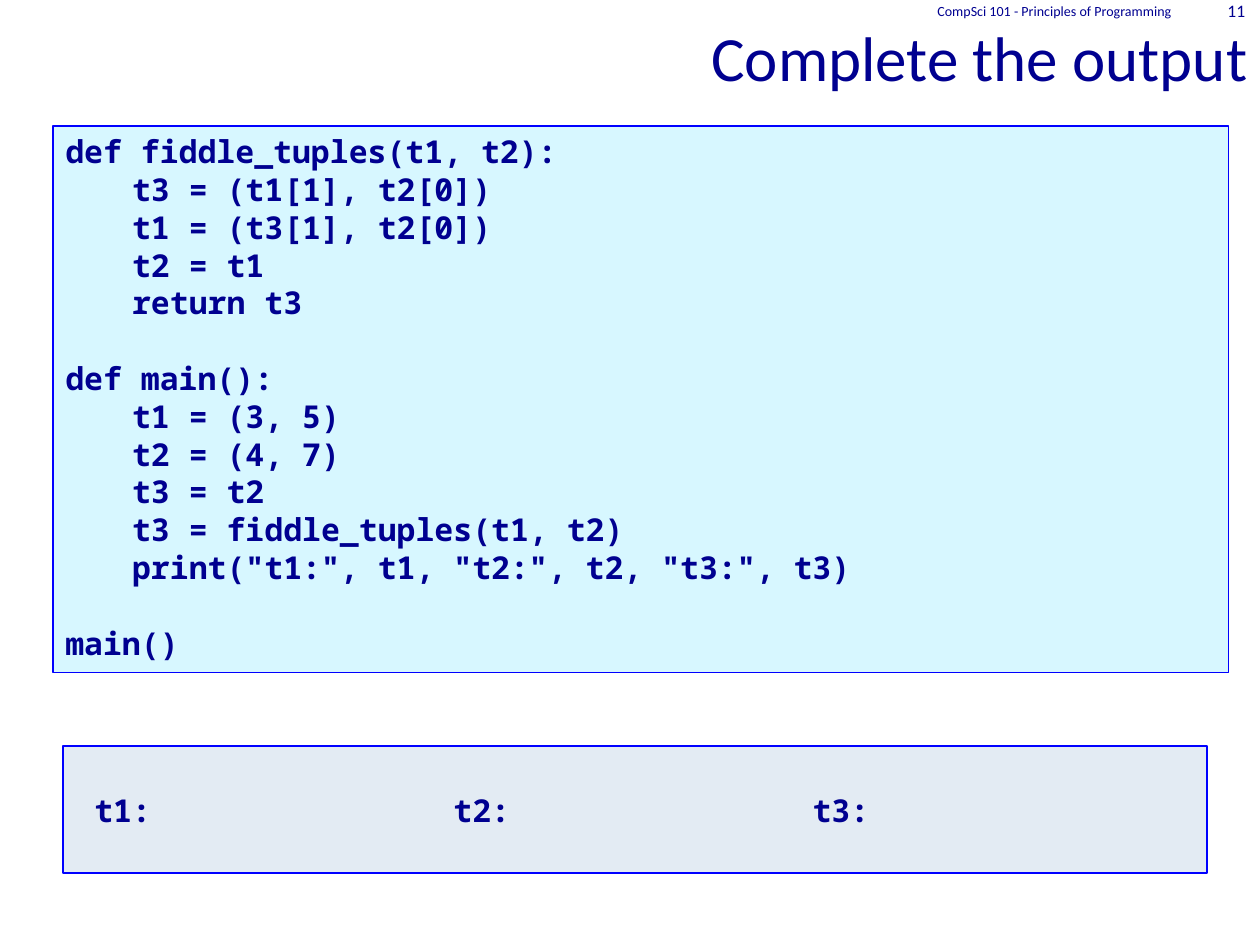
from lxml.etree import SubElement
from pptx import Presentation
from pptx.dml.color import RGBColor
from pptx.enum.shapes import MSO_SHAPE
from pptx.enum.text import MSO_ANCHOR as Anchor, PP_ALIGN as Align
from pptx.oxml.ns import qn
from pptx.util import Inches, Pt

COLORS = {"ink": "000090", "border": "0000FF", "code": "D7F7FF", "output": "E3EBF3"}
WIDTH, HEIGHT = 10, 7.5
CODE_LINE = 21.6

CODE_BLOCKS = [
    """def fiddle_tuples(t1, t2):
\tt3 = (t1[1], t2[0])
\tt1 = (t3[1], t2[0])
\tt2 = t1
\treturn t3""",
    """def main():
\tt1 = (3, 5)
\tt2 = (4, 7)
\tt3 = t2
\tt3 = fiddle_tuples(t1, t2)
\tprint("t1:", t1, "t2:", t2, "t3:", t3)""",
    "main()",
]


class SlideBuilder:
    """Places elements by (left, top, width, height) as shares of the slide."""

    text_font, code_font, code_size = "Calibri", "Noto Sans Mono", 18

    def __init__(self, presentation):
        self.presentation = presentation
        self.slide = presentation.slides.add_slide(presentation.slide_layouts[6])

    def place(self, box):
        sides = (self.presentation.slide_width, self.presentation.slide_height) * 2
        return [round(share * side) for share, side in zip(box, sides)]

    def format_runs(self, paragraph, font, size, bold=False):
        for run in paragraph.runs:
            run.font.name, run.font.size, run.font.bold = font, Pt(size), bold
            run.font.color.rgb = RGBColor.from_string(COLORS["ink"])

    def label(self, text, box, size, anchor=Anchor.MIDDLE):
        """Adds a right-aligned line of text."""
        frame = self.slide.shapes.add_textbox(*self.place(box)).text_frame
        frame.word_wrap, frame.vertical_anchor = True, anchor
        frame.margin_top = frame.margin_bottom = 0
        frame.text = text
        frame.paragraphs[0].alignment = Align.RIGHT
        self.format_runs(frame.paragraphs[0], self.text_font, size)

    def code_panel(self, blocks, box, fill, tabs, anchor):
        """Adds a bordered panel of code, with one line of space between blocks."""
        shape = self.slide.shapes.add_shape(MSO_SHAPE.RECTANGLE, *self.place(box))
        shape.shadow.inherit = False
        shape.fill.solid()
        shape.fill.fore_color.rgb = RGBColor.from_string(COLORS[fill])
        shape.line.color.rgb = RGBColor.from_string(COLORS["border"])
        shape.line.width = Pt(0.75)
        frame = shape.text_frame
        frame.word_wrap, frame.vertical_anchor = True, anchor
        frame.text = "\n".join(blocks)
        for paragraph in frame.paragraphs:
            paragraph.alignment = Align.LEFT
            self.format_runs(paragraph, self.code_font, self.code_size, bold=True)
        first = 0
        for block in blocks[:-1]:
            first += len(block.splitlines())
            frame.paragraphs[first].space_before = Pt(CODE_LINE)
        for paragraph in frame.paragraphs:
            self.set_tabs(paragraph, tabs)

    def set_tabs(self, paragraph, stops):
        tab_list = SubElement(paragraph._p.get_or_add_pPr(), qn("a:tabLst"))
        for stop in stops:
            SubElement(tab_list, qn("a:tab"), pos=str(Inches(stop)), algn="l")


def main():
    presentation = Presentation()
    presentation.slide_width, presentation.slide_height = Inches(WIDTH), Inches(HEIGHT)
    builder = SlideBuilder(presentation)

    builder.label("Complete the output", (0, 0, 1, 0.1), 36, Anchor.BOTTOM)
    builder.code_panel(CODE_BLOCKS, (0.042, 1 / HEIGHT, 0.933, 4.34 / HEIGHT),
                       "code", [0.53], Anchor.TOP)
    builder.code_panel(["\tt1:\tt2:\tt3:"], (0.05, 5.92 / HEIGHT, 0.908, 1.01 / HEIGHT),
                       "output", [0.15 + 2.85 * column for column in range(3)],
                       Anchor.MIDDLE)
    header_height = 0.17 / HEIGHT
    builder.label("CompSci 101 - Principles of Programming",
                  (0.64, 0, 0.3, header_height), 8)
    builder.label("11", (0.94, 0, 0.058, header_height), 10)

    presentation.save("out.pptx")


if __name__ == "__main__":
    main()
